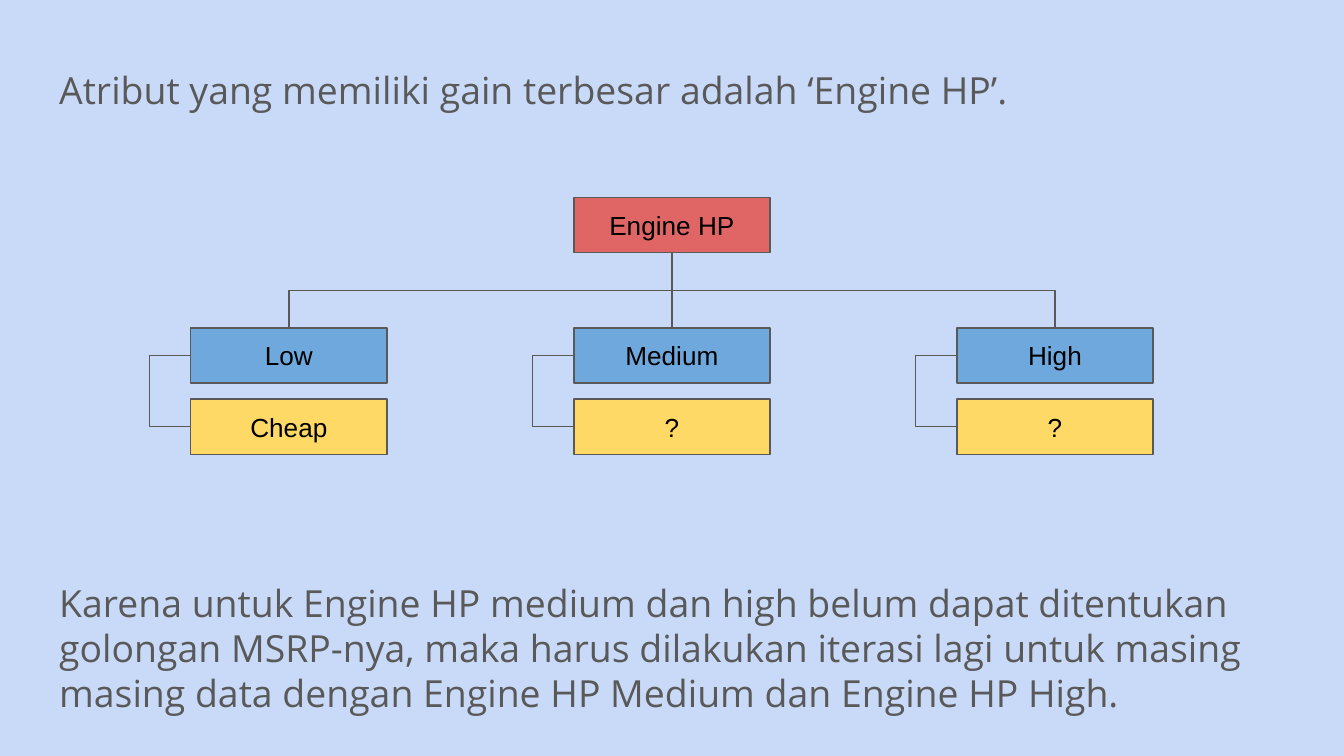
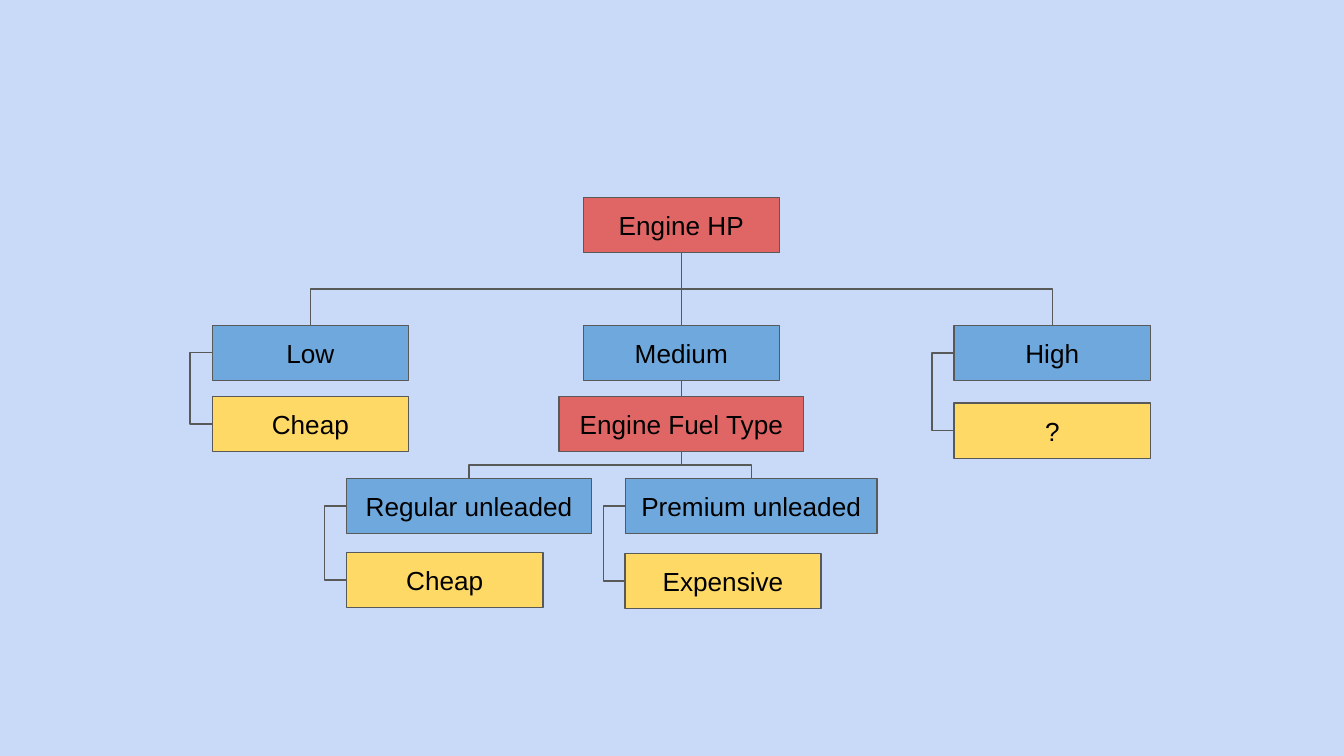
from lxml.etree import SubElement
from pptx import Presentation
from pptx.dml.color import RGBColor
from pptx.enum.shapes import MSO_CONNECTOR as Link, MSO_SHAPE as Shape
from pptx.enum.text import MSO_ANCHOR as Anchor, MSO_AUTO_SIZE as AutoSize, PP_ALIGN as Align
from pptx.oxml.ns import qn
from pptx.util import Inches, Pt

COLOURS = {
    "background": "C9DAF8",
    "attribute": "E06666",
    "value": "6FA8DC",
    "result": "FFD966",
    "outline": "595959",
    "statement": "595959",
    "label": "000000",
}
BOX_WIDTH, BOX_HEIGHT = 1.46, 0.41
TOP, LEFT, BOTTOM = 0, 1, 2  # connection sites of a rectangle
SLIVER = 0.001  # width of a connector whose ends share one edge

# Content: statements are (text, top)
STATEMENTS = [
    ("Atribut yang memiliki gain terbesar adalah ‘Engine HP’.", 0.4),
    ("Karena untuk Engine HP medium dan high belum dapat ditentukan "
     "golongan MSRP-nya, maka harus dilakukan iterasi lagi untuk masing "
     "masing data dengan Engine HP Medium dan Engine HP High.", 4.22),
]

# Trees: nodes are key: (label, role, centre x, top, width);
# branches go down from parent to child, hooks go round the left side
FIRST_COLUMNS = [2.15 + 2.85 * i for i in range(3)]
FIRST_TREE = {
    "nodes": {
        "root": ("Engine HP", "attribute", FIRST_COLUMNS[1], 1.47, BOX_WIDTH),
        **{level: (level, "value", x, 2.44, BOX_WIDTH)
           for level, x in zip(("Low", "Medium", "High"), FIRST_COLUMNS)},
        **{level + " result": (result, "result", x, 2.97, BOX_WIDTH)
           for level, result, x in zip(("Low", "Medium", "High"),
                                       ("Cheap", "?", "?"), FIRST_COLUMNS)},
    },
    "branches": [("root", "Low"), ("root", "High"), ("root", "Medium")],
    "hooks": ["Low", "Medium", "High"],
    "reach": 0.26,
}
SECOND_COLUMNS = [2.31 + 2.76 * i for i in range(3)]
SECOND_TREE = {
    "nodes": {
        "root": ("Engine HP", "attribute", SECOND_COLUMNS[1], 1.47, BOX_WIDTH),
        **{level: (level, "value", x, 2.42, BOX_WIDTH)
           for level, x in zip(("Low", "Medium", "High"), SECOND_COLUMNS)},
        "Low result": ("Cheap", "result", SECOND_COLUMNS[0], 2.95, BOX_WIDTH),
        "fuel": ("Engine Fuel Type", "attribute", SECOND_COLUMNS[1], 2.95, 1.82),
        "Regular": ("Regular unleaded", "value", 3.49, 3.56, 1.82),
        "Regular result": ("Cheap", "result", 3.31, 4.11, BOX_WIDTH),
        "Premium": ("Premium unleaded", "value", 5.59, 3.56, 1.87),
        "Premium result": ("Expensive", "result", 5.38, 4.12, BOX_WIDTH),
        "High result": ("?", "result", SECOND_COLUMNS[2], 3, BOX_WIDTH),
    },
    "branches": [("root", "Low"), ("root", "Medium"), ("root", "High"),
                 ("fuel", "Regular"), ("fuel", "Premium"), ("Medium", "fuel")],
    "hooks": ["Low", "Regular", "Premium", "High"],
    "reach": 0.14,
}


def colour(name):
    return RGBColor.from_string(COLOURS[name])


def add_run(paragraph, text, font, size, ink):
    run = paragraph.add_run()
    run.text = text
    run.font.name, run.font.size = font, Pt(size)
    run.font.color.rgb = colour(ink)


def set_insets(frame):
    frame.margin_left = frame.margin_right = Inches(0.1)
    frame.margin_top = frame.margin_bottom = Inches(0.1)


def new_slide(layout):
    slide = prs.slides.add_slide(prs.slide_layouts[layout])
    slide.background.fill.solid()
    slide.background.fill.fore_color.rgb = colour("background")
    return slide


def write_statement(holder, text, top):
    holder.left, holder.top = Inches(0.34), Inches(top)
    holder.width, holder.height = Inches(9.32), Inches(0.67)
    frame = holder.text_frame
    set_insets(frame)
    frame.word_wrap, frame.auto_size = True, AutoSize.NONE
    frame.vertical_anchor = Anchor.TOP
    paragraph = frame.paragraphs[0]
    paragraph.alignment = Align.LEFT
    paragraph.line_spacing = 1.0
    paragraph.space_before = Pt(0)
    properties = paragraph._p.get_or_add_pPr()
    properties.set("marL", "0")
    properties.set("indent", "0")
    SubElement(properties, qn("a:buNone"))
    add_run(paragraph, text, "Open Sans", 20, "statement")


def add_node(slide, label, role, centre, top, width):
    node = slide.shapes.add_shape(
        Shape.RECTANGLE, Inches(centre - width / 2), Inches(top),
        Inches(width), Inches(BOX_HEIGHT))
    node.shadow.inherit = False
    node.fill.solid()
    node.fill.fore_color.rgb = colour(role)
    node.line.color.rgb = colour("outline")
    node.line.width = Pt(0.75)
    frame = node.text_frame
    set_insets(frame)
    frame.vertical_anchor = Anchor.MIDDLE
    frame.paragraphs[0].alignment = Align.CENTER
    add_run(frame.paragraphs[0], label, "Arial", 14, "label")
    return node


def add_elbow(slide, start, start_site, end, end_site, box, bend, turn=0, flip=False):
    """Glue an elbow to two nodes; box is its frame before it is turned."""
    elbow = slide.shapes.add_connector(Link.ELBOW, 0, 0, 0, 0)
    elbow.begin_connect(start, start_site)
    elbow.end_connect(end, end_site)
    elbow.left, elbow.top, elbow.width, elbow.height = (int(v) for v in box)
    properties = elbow._element.spPr
    frame = properties.find(qn("a:xfrm"))
    frame.set("rot", str(turn * 60000))
    frame.set("flipH", str(int(flip)))
    frame.set("flipV", "0")
    adjust = properties.find(qn("a:prstGeom")).find(qn("a:avLst"))
    SubElement(adjust, qn("a:gd"), name="adj1", fmla=f"val {round(bend * 100000)}")
    elbow.line.color.rgb = colour("outline")
    elbow.line.width = Pt(0.75)
    SubElement(properties, qn("a:effectLst"))


def add_branch(slide, parent, child):
    x1, y1 = parent.left + parent.width / 2, parent.top + parent.height
    x2, y2 = child.left + child.width / 2, child.top
    drop, span = y2 - y1, abs(x2 - x1)
    box = ((x1 + x2 - drop) / 2, (y1 + y2 - span) / 2, drop, span)
    leftward = x2 < x1
    add_elbow(slide, parent, BOTTOM, child, TOP, box, 0.5,
              90 if leftward else 270, not leftward)


def add_hook(slide, value, result, reach):
    y1, y2 = (node.top + node.height / 2 for node in (value, result))
    box = (value.left, y1, Inches(SLIVER), y2 - y1)
    add_elbow(slide, value, LEFT, result, LEFT, box, -reach / SLIVER)


def draw_tree(slide, tree):
    nodes = {key: add_node(slide, *node) for key, node in tree["nodes"].items()}
    for parent, child in tree["branches"]:
        add_branch(slide, nodes[parent], nodes[child])
    for key in tree["hooks"]:
        add_hook(slide, nodes[key], nodes[key + " result"], tree["reach"])


prs = Presentation()
prs.slide_width, prs.slide_height = Inches(10), Inches(10 * 9 / 16)

# Slide 1: statements around the first split
first = new_slide(1)
for holder, statement in zip(first.placeholders, STATEMENTS):
    write_statement(holder, *statement)
draw_tree(first, FIRST_TREE)

# Slide 2: the tree after splitting Medium
second = new_slide(6)
draw_tree(second, SECOND_TREE)

prs.save("out.pptx")
